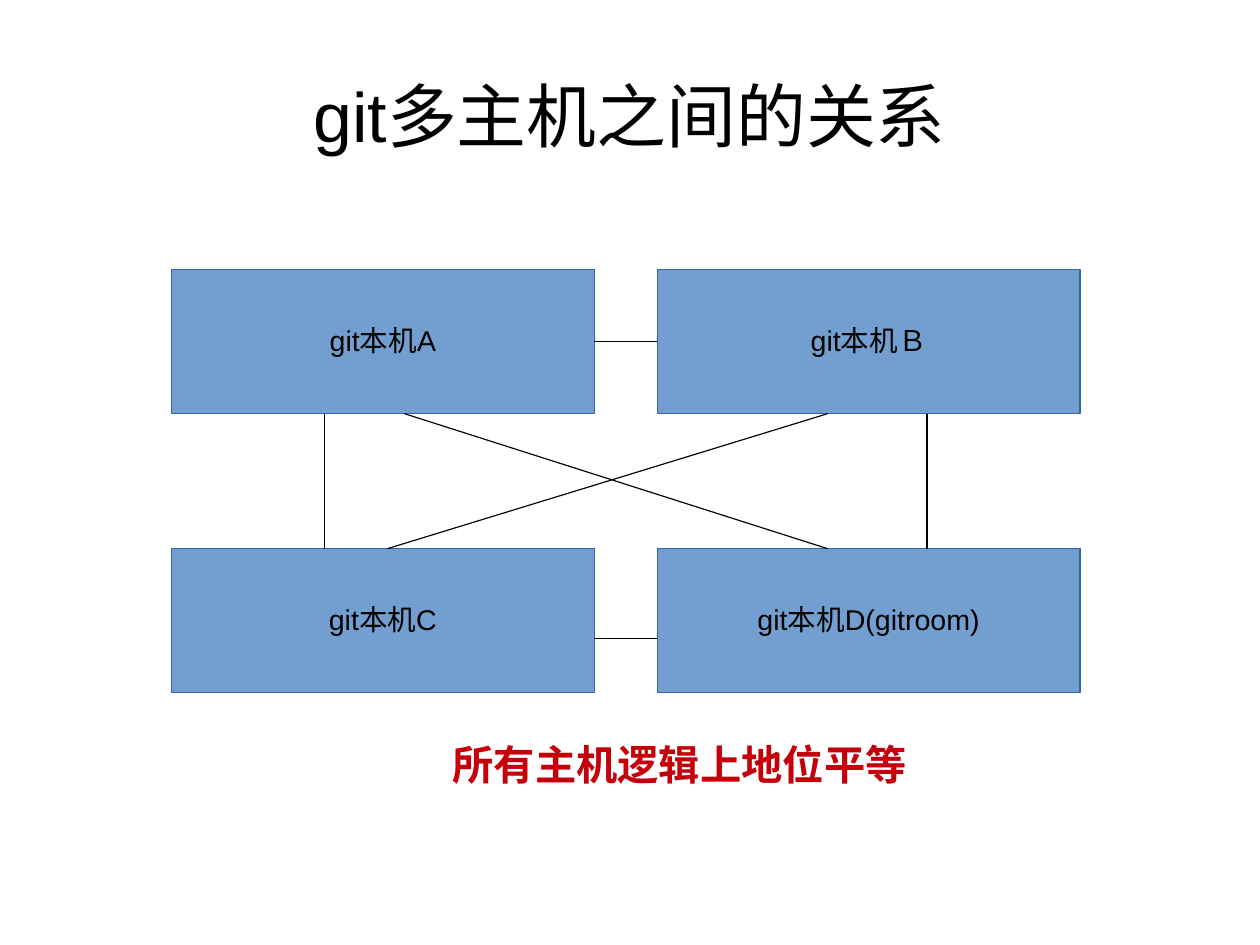
from lxml.etree import SubElement
from pptx import Presentation
from pptx.dml.color import RGBColor
from pptx.enum.shapes import MSO_CONNECTOR, MSO_SHAPE
from pptx.enum.text import MSO_ANCHOR, PP_ALIGN
from pptx.oxml.ns import qn
from pptx.util import Cm, Inches, Pt

TITLE = "git多主机之间的关系"
HOSTS = [["git本机A", "git本机Ｂ"],
         ["git本机C", "git本机D(gitroom)"]]
CONCLUSION = "所有主机逻辑上地位平等"

BLACK = RGBColor(0x00, 0x00, 0x00)
RED = RGBColor(0xC5, 0x00, 0x0B)
HOST_FILL = RGBColor(0x72, 0x9F, 0xCF)
HOST_EDGE = RGBColor(0x34, 0x65, 0xA4)

LEFT, TOP = 1.5, 2.36
HOST_W, HOST_H = 3.7, 1.26
GAP_X, GAP_Y = 0.55, 1.18

right_of_a = LEFT + HOST_W
left_of_b = right_of_a + GAP_X
below_a = TOP + HOST_H
top_of_c = below_a + GAP_Y

LINKS = [
    ((3.54, below_a), (7.24, top_of_c)),
    ((3.39, top_of_c), (7.24, below_a)),
    *(((right_of_a, y), (left_of_b, y)) for y in (2.99, 5.59)),
    *(((x, below_a), (x, top_of_c)) for x in (2.84, 8.11)),
]


def write(shape, text, size, color=BLACK, bold=False, align=PP_ALIGN.CENTER,
          anchor=MSO_ANCHOR.MIDDLE, insets=(0.1, 0.06, 0.1, 0.05), wrap=False):
    frame = shape.text_frame
    frame.word_wrap = wrap
    frame.vertical_anchor = anchor
    (frame.margin_left, frame.margin_top,
     frame.margin_right, frame.margin_bottom) = map(Inches, insets)
    paragraph = frame.paragraphs[0]
    paragraph.alignment = align
    paragraph.line_spacing = 0.94
    run = paragraph.add_run()
    run.text = text
    run.font.name = "Arial"
    run.font.size = Pt(size)
    run.font.bold = bold
    run.font.color.rgb = color


def add_host(slide, name, x, y):
    host = slide.shapes.add_shape(MSO_SHAPE.RECTANGLE, Inches(x), Inches(y),
                                  Inches(HOST_W), Inches(HOST_H))
    host.shadow.inherit = False
    host.fill.solid()
    host.fill.fore_color.rgb = HOST_FILL
    host.line.color.rgb = HOST_EDGE
    host.line.width = Pt(0.75)
    write(host, name, 18)


def add_link(slide, start, end):
    link = slide.shapes.add_connector(MSO_CONNECTOR.STRAIGHT,
                                      *map(Inches, start + end))
    link.line.color.rgb = BLACK
    link.line.width = Pt(0.75)
    SubElement(link._element.spPr, qn("a:effectLst"))


def main():
    deck = Presentation()
    deck.slide_width, deck.slide_height = Cm(28), Cm(21)
    slide = deck.slides.add_slide(deck.slide_layouts[6])

    title = slide.shapes.add_textbox(*map(Inches, (0.55, 0.33, 9.92, 1.38)))
    write(title, TITLE, 44, insets=(0, 0.04, 0, 0), wrap=True)

    for row, names in enumerate(HOSTS):
        for column, name in enumerate(names):
            add_host(slide, name, LEFT + column * (HOST_W + GAP_X),
                     TOP + row * (HOST_H + GAP_Y))

    for start, end in LINKS:
        add_link(slide, start, end)

    conclusion = slide.shapes.add_textbox(*map(Inches, (3.86, 6.43, 4.18, 0.58)))
    write(conclusion, CONCLUSION, 26, color=RED, bold=True, align=PP_ALIGN.LEFT,
          anchor=MSO_ANCHOR.TOP, insets=(0.1, 0.07, 0.1, 0.05))

    deck.save("out.pptx")


if __name__ == "__main__":
    main()
